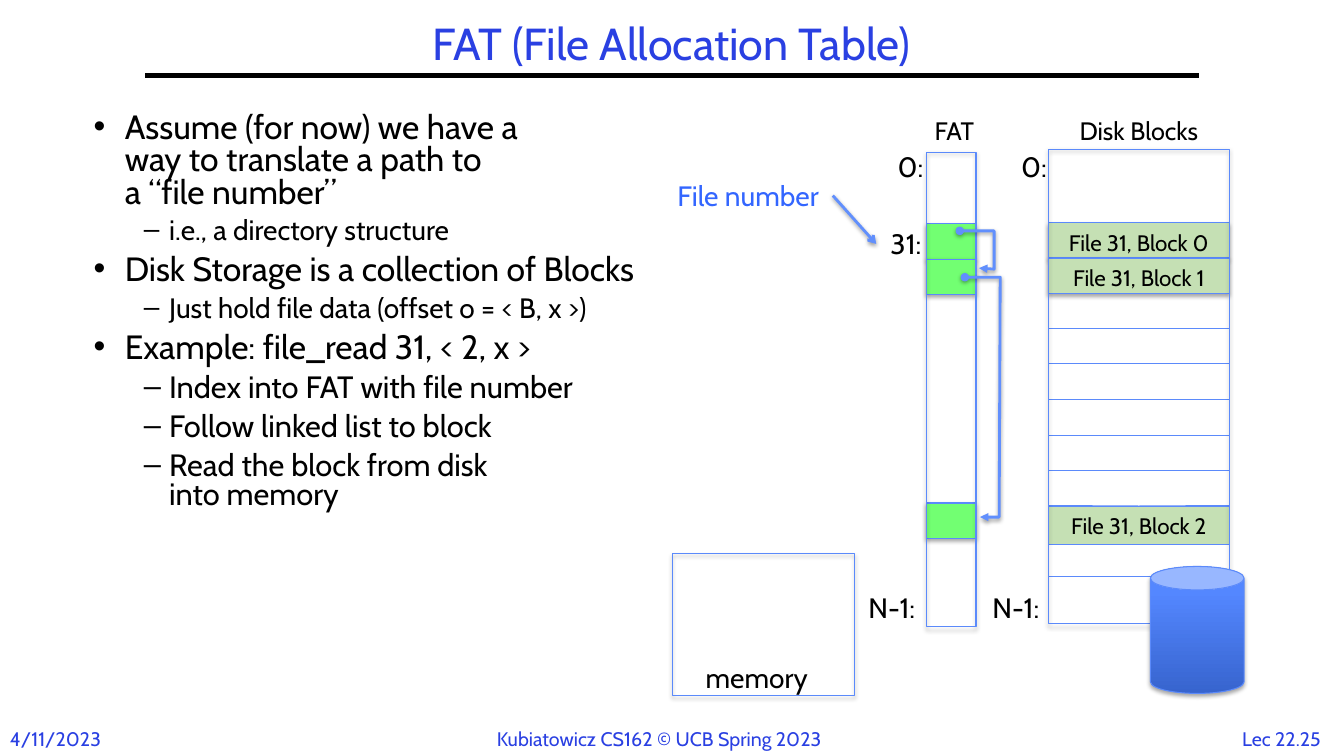
from dataclasses import dataclass

import lxml.etree
import pptx
import pptx.dml.color
import pptx.enum.shapes
import pptx.enum.text
import pptx.oxml.ns
import pptx.util

PX = 9144  # EMU per px, 100 px to the inch
SHAPE = pptx.enum.shapes.MSO_SHAPE
ALIGN = pptx.enum.text.PP_ALIGN
ANCHOR = pptx.enum.text.MSO_ANCHOR
qn = pptx.oxml.ns.qn


@dataclass(frozen=True)
class Theme:
    font: str = "Cabin"
    ink: str = "000000"
    accent: str = "2A40E2"
    pointer_label: str = "3366FF"
    outline: str = "5B8AFB"
    arrow: str = "618FFD"
    entry: str = "72FF72"
    block: str = "C5E0B4"
    disk_dark: str = "3764CE"
    disk_light: str = "5487FF"
    title: int = 32
    point: int = 24
    step: int = 22
    label: int = 20
    heading: int = 18
    block_label: int = 16
    footer: int = 14


THEME = Theme()

BODY = [
    (0, "Assume (for now) we have a\nway to translate a path to\na “file number”", THEME.point),
    (1, "i.e., a directory structure", THEME.label),
    (0, "Disk Storage is a collection of Blocks", THEME.point),
    (1, "Just hold file data (offset o = < B, x >)", THEME.label),
    (0, "Example: file_read 31, < 2, x >", THEME.point),
    (1, "Index into FAT with file number", THEME.step),
    (1, "Follow linked list to block", THEME.step),
    (1, "Read the block from disk\ninto memory", THEME.step),
]
BULLETS = [("•", 31, -31), ("–", 75, -25)]  # character, margin, indent


def px(*lengths):
    return [pptx.util.Emu(length * PX) for length in lengths]


def rgb(color):
    return pptx.dml.color.RGBColor.from_string(color)


def write(para, text, *, size, color=THEME.ink, align=ALIGN.CENTER, spacing=None, before=None):
    """Fill a paragraph; each newline in the text is a line break."""
    para.alignment = align
    if spacing:
        para.line_spacing = spacing
    if before:
        para.space_before = pptx.util.Pt(before)
    for index, line in enumerate(text.split("\n")):
        if index:
            para.add_line_break()
        span = para.add_run()
        span.text = line
        span.font.name = THEME.font
        span.font.size = pptx.util.Pt(size)
        span.font.color.rgb = rgb(color)


def add_frame(page, left, top, width, height):
    box = page.shapes.add_textbox(*px(left, top, width, height))
    box.text_frame.word_wrap = True
    return box


def add_label(page, text, place, **style):
    box = add_frame(page, *place)
    write(box.text_frame.paragraphs[0], text, **style)
    return box


def add_bullet(para, character, margin, indent):
    properties = para._p.get_or_add_pPr()
    properties.set("marL", str(margin * PX))
    properties.set("indent", str(indent * PX))
    lxml.etree.SubElement(properties, qn("a:buFont")).set("typeface", "Arial")
    lxml.etree.SubElement(properties, qn("a:buChar")).set("char", character)


def add_body(page):
    frame = add_frame(page, 83, 108, 563, 476).text_frame
    for index, (level, text, size) in enumerate(BODY):
        para = frame.add_paragraph() if index else frame.paragraphs[0]
        para.level = level
        add_bullet(para, *BULLETS[level])
        write(para, text, size=size, align=ALIGN.LEFT, spacing=0.8,
              before=0.3 * size if index else None)


def set_shadow(shape, opacity=None, distance=1.8):
    """Replace the theme shadow by a soft one below, or by none."""
    properties = shape._element.spPr
    for old in properties.findall(qn("a:effectLst")):
        properties.remove(old)
    effects = lxml.etree.SubElement(properties, qn("a:effectLst"))
    if opacity:
        shadow = lxml.etree.SubElement(
            effects, qn("a:outerShdw"), blurRad=str(pptx.util.Pt(3.1)),
            dist=str(pptx.util.Pt(distance)), dir="5400000", rotWithShape="0")
        color = lxml.etree.SubElement(shadow, qn("a:srgbClr"), val=THEME.ink)
        lxml.etree.SubElement(color, qn("a:alpha"), val=str(opacity * 1000))


def add_box(page, place, fill=None, shadow=True, kind=SHAPE.RECTANGLE):
    box = page.shapes.add_shape(kind, *px(*place))
    if fill:
        box.fill.solid()
        box.fill.fore_color.rgb = rgb(fill)
    else:
        box.fill.background()
    box.line.color.rgb = rgb(THEME.outline)
    box.line.width = pptx.util.Pt(0.75)
    set_shadow(box, 35 if shadow else None)
    return box


def add_file_block(page, place, text, shadow=True):
    frame = add_box(page, place, THEME.block, shadow).text_frame
    frame.vertical_anchor = ANCHOR.TOP
    frame.margin_top, frame.margin_bottom = px(6, 0)
    write(frame.paragraphs[0], text, size=THEME.block_label)


def style_arrow(arrow, tail, head=None):
    arrow.line.color.rgb = rgb(THEME.arrow)
    arrow.line.width = pptx.util.Pt(2)
    line = arrow._element.spPr.find(qn("a:ln"))
    if head:
        lxml.etree.SubElement(line, qn("a:headEnd"), type=head)
    lxml.etree.SubElement(line, qn("a:tailEnd"), type=tail)
    set_shadow(arrow, 38, 1.6)


def add_link(page, points):
    builder = page.shapes.build_freeform(*points[0], scale=PX)
    builder.add_line_segments(points[1:], close=False)
    link = builder.convert_to_shape()
    link.fill.background()
    style_arrow(link, "triangle", "oval")


def add_rule(page):
    rule = page.shapes.add_connector(
        pptx.enum.shapes.MSO_CONNECTOR.STRAIGHT, *px(144, 75, 1189, 75))
    rule.line.color.rgb = rgb(THEME.ink)
    rule.line.width = pptx.util.Pt(3)
    set_shadow(rule)


def add_footer(page):
    for text, place, align in [
        ("Lec 22.25", (1212, 716, 118, 33), ALIGN.CENTER),
        ("4/11/2023", (0, 716, 126, 34), ALIGN.LEFT),
        ("Kubiatowicz CS162 © UCB Spring 2023", (483, 716, 378, 34), ALIGN.LEFT),
    ]:
        add_label(page, text, place, size=THEME.footer, color=THEME.accent, align=align)


def add_disk_blocks(page):
    left, width = 1040, 179
    tops = [int(221 + 35.2 * row) for row in range(9)]
    for row, top in enumerate(tops[2:8]):
        if row != 3:
            add_box(page, (left, top, width, 35), shadow=False)
    add_box(page, (left, 540, width, 32), shadow=False)
    for number, row in enumerate((0, 1, 8)):
        height = 38 if row == 8 else 35
        add_file_block(page, (left, tops[row], width, height),
                       f"File 31, Block {number}", shadow=row != 8)
    add_box(page, (left, 148, width, 471))
    add_label(page, "Disk Blocks", (1044, 109, 171, 40), size=THEME.heading)
    add_label(page, "0:", (1002, 143, 47, 44), size=THEME.label)
    add_label(page, "N-1:", (970, 581, 75, 44), size=THEME.label)
    disk = add_box(page, (1141, 562, 93, 126), THEME.disk_light, kind=SHAPE.CAN)
    disk.fill.gradient()
    disk.fill.gradient_angle = 90
    dark, light = disk.fill.gradient_stops
    dark.color.rgb, light.color.rgb = rgb(THEME.disk_dark), rgb(THEME.disk_light)
    dark.position, light.position = 0, 0.8


def add_fat(page):
    left, width = 919, 49
    for top in (222, 257, 499):
        add_box(page, (left, top, width, 35), THEME.entry)
    add_box(page, (left, 151, width, 471))
    add_label(page, "FAT", (909, 109, 75, 40), size=THEME.heading)
    add_label(page, "0:", (876, 143, 54, 44), size=THEME.label)
    add_label(page, "N-1:", (843, 581, 83, 44), size=THEME.label)
    index = add_label(page, "31:", (869, 220, 59, 44), size=THEME.label)
    caption = add_label(page, "File number", (658, 172, 168, 44),
                        size=THEME.label, color=THEME.pointer_label)
    pointer = page.shapes.add_connector(
        pptx.enum.shapes.MSO_CONNECTOR.STRAIGHT, *px(826, 194, 869, 242))
    pointer.begin_connect(caption, 3)
    pointer.end_connect(index, 1)
    style_arrow(pointer, "arrow")
    add_link(page, [(952, 229), (986, 229), (986, 267), (971, 266)])
    add_link(page, [(957, 275), (992, 275), (991, 513), (972, 513)])


def main():
    deck = pptx.Presentation()
    deck.slide_width, deck.slide_height = px(1333, 750)
    page = deck.slides.add_slide(deck.slide_layouts[6])
    add_rule(page)
    add_footer(page)
    title = add_label(page, "FAT (File Allocation Table)", (144, 17, 1044, 58),
                      size=THEME.title, color=THEME.accent, spacing=0.9)
    title.text_frame.vertical_anchor = ANCHOR.MIDDLE
    add_body(page)
    add_disk_blocks(page)
    add_fat(page)
    add_box(page, (667, 549, 181, 141))
    add_label(page, "memory", (680, 650, 141, 44), size=THEME.label)
    deck.save("out.pptx")


if __name__ == "__main__":
    main()
